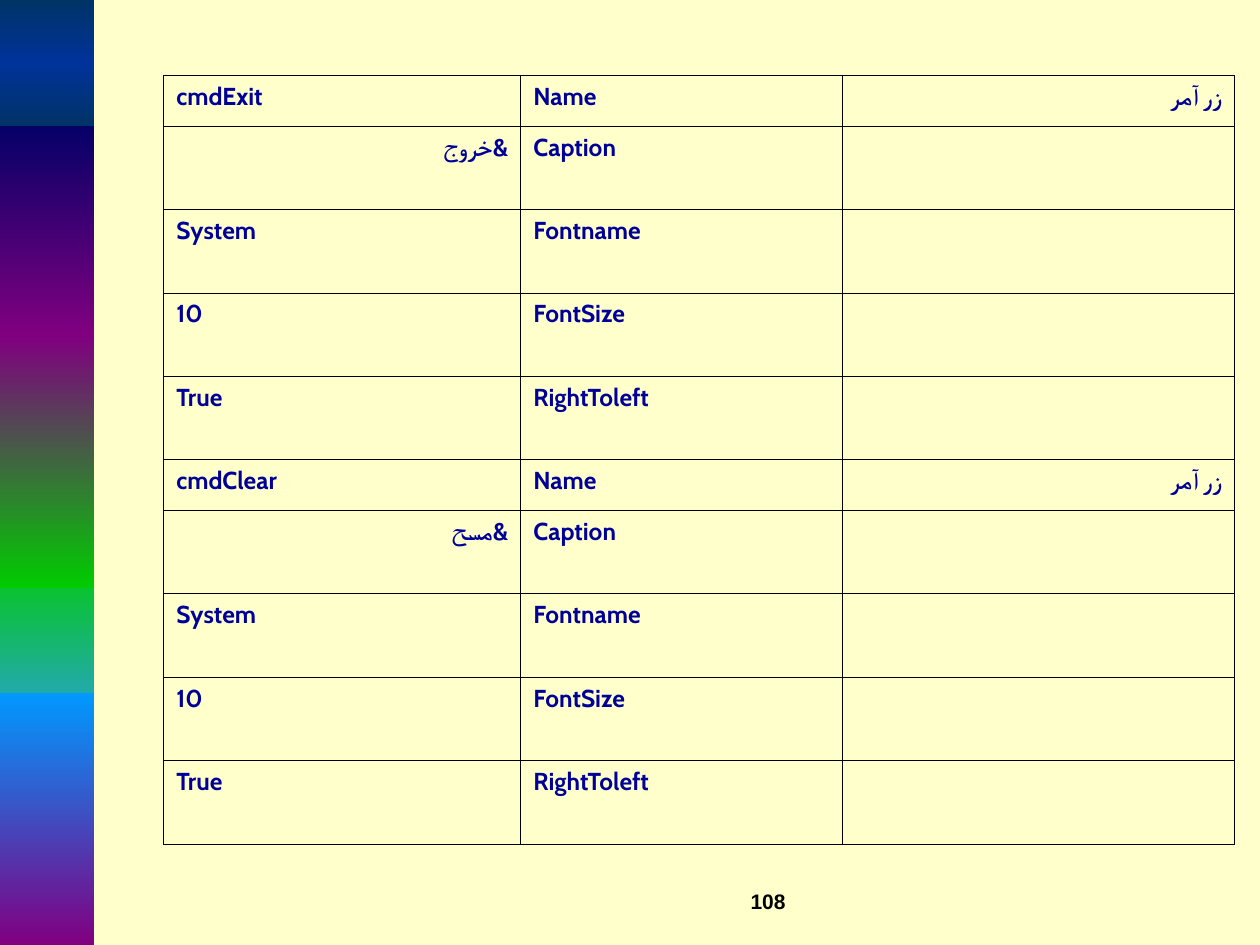
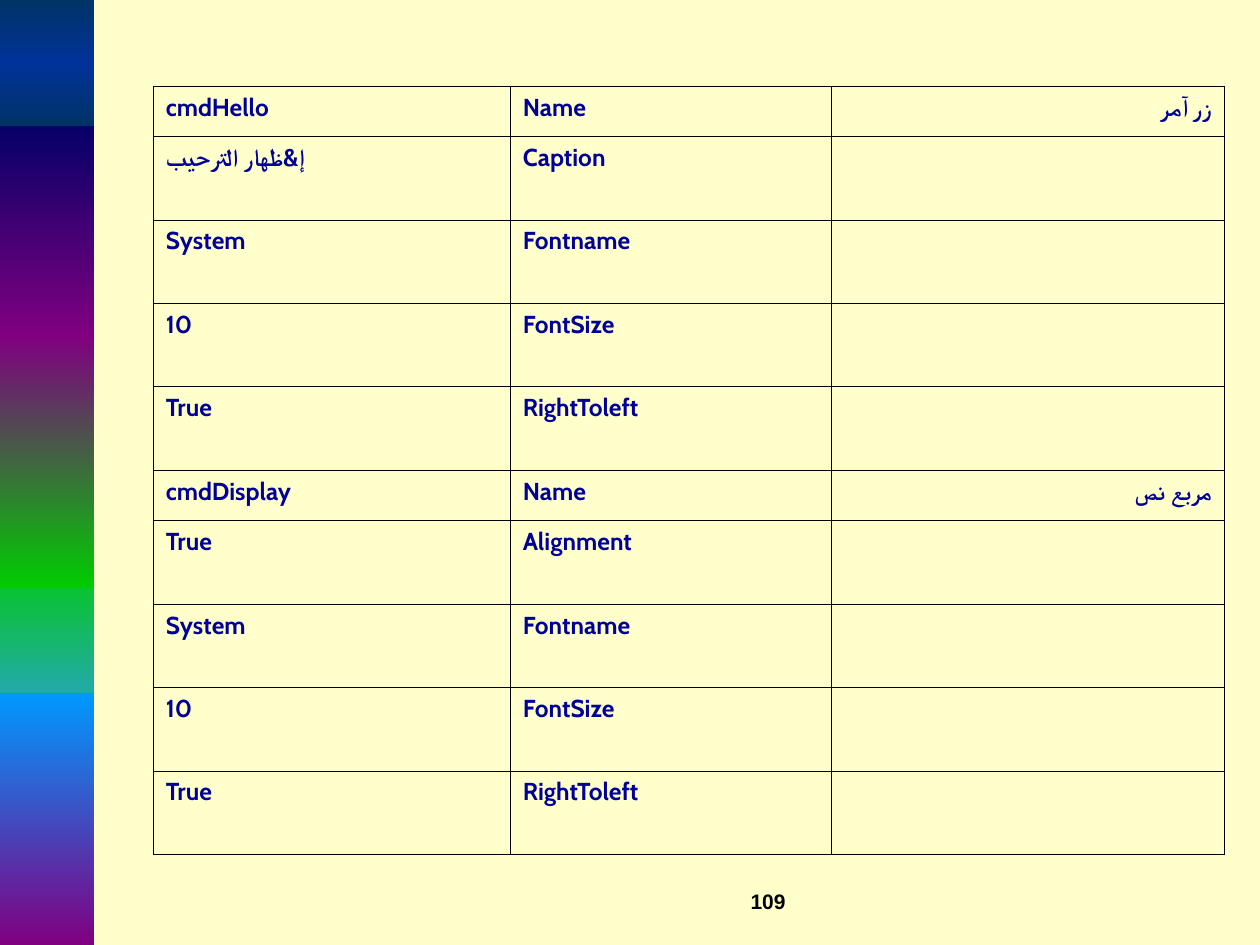
from dataclasses import dataclass

from lxml.etree import SubElement
from pptx import Presentation
from pptx.dml.color import RGBColor
from pptx.enum.shapes import MSO_SHAPE as Shape
from pptx.enum.text import PP_ALIGN as Align
from pptx.oxml.ns import qn
from pptx.util import Emu, Inches, Pt

# Slide grid: 120 columns by 90 rows of square units
UNIT = Inches(1) // 12
COLUMNS, ROWS = 120, 90


@dataclass(frozen=True)
class Theme:
    paper: str = "FFFFCC"
    ink: str = "000099"
    black: str = "000000"
    table_font: str = "Cabin"
    number_font: str = "Arial"
    table_size: float = 14
    number_size: float = 12
    border: float = 0.45


@dataclass(frozen=True)
class Box:
    left: float
    top: float
    width: float
    height: float

    def emu(self):
        return [grid(v) for v in (self.left, self.top, self.width, self.height)]


@dataclass(frozen=True)
class Control:
    kind: str
    name: str
    feature: str  # property listed right after the name
    setting: str
    setting_rtl: bool = False

    def rows(self):
        return [("Name", self.name), (self.feature, self.setting), *COMMON]


THEME = Theme()
COMMON = [("Fontname", "System"), ("FontSize", "10"), ("RightToleft", "True")]
SIDEBAR = Box(0, 0, 9, ROWS)
NUMBER_BOX = Box(51, 84, 25, 6)

# Sidebar bands from back to front: top row, height, colours downwards
BANDS = [
    (52, 21, ["00CC00", "3399FF"]),
    (11, 21, ["000066", "800080"]),
    (66, 24, ["0099FF", "800080"]),
    (32, 24, ["800080", "00CC00"]),
    (0, 12, ["003366", "003399", "003366"]),
]

COLUMN_SHARES = (1 / 3, 0.3, 11 / 30)
NAME_ROW = 4.8

# Number, table box, hanging indent in units, controls
PAGES = [
    (108, Box(15.6, 7.2, 102, 73.2), 0, [
        Control("زر آمر", "cmdExit", "Caption", "&خروج", True),
        Control("زر آمر", "cmdClear", "Caption", "&مسح", True),
    ]),
    (109, Box(14.6, 8.2, 102, 73.2), 4.5, [
        Control("زر آمر", "cmdHello", "Caption", "إ&ظهار الترحيب"),
        Control("مربع نص", "cmdDisplay", "Alignment", "True"),
    ]),
]


def grid(units):
    return Emu(round(units * UNIT))


def add_span(para, text, font, size, colour):
    span = para.add_run()
    span.text = text
    span.font.name, span.font.size, span.font.bold = font, Pt(size), True
    span.font.color.rgb = RGBColor.from_string(colour)
    return span


def paint_gradient(shape, colours):
    shape.fill.gradient()
    shape.fill.gradient_angle = 270  # top to bottom
    stops = shape.fill._xPr.find(".//" + qn("a:gsLst"))
    stops[:] = []
    for index, colour in enumerate(colours):
        position = round(100000 * index / (len(colours) - 1))
        stop = SubElement(stops, qn("a:gs"), pos=str(position))
        SubElement(stop, qn("a:srgbClr"), val=colour)


def draw_sidebar(page, box):
    for top, height, colours in BANDS:
        area = Box(box.left, box.top + top, box.width, height)
        band = page.shapes.add_shape(Shape.RECTANGLE, *area.emu())
        band.shadow.inherit = False
        band.line.fill.background()
        paint_gradient(band, colours)


def draw_page_number(page, box, number):
    frame = page.shapes.add_textbox(*box.emu()).text_frame
    frame.word_wrap = True
    para = frame.paragraphs[0]
    para.alignment = Align.RIGHT
    add_span(para, str(number), THEME.number_font, THEME.number_size, THEME.black)


def style_cell(cell):
    properties = cell._tc.get_or_add_tcPr()
    for side in ("a:lnL", "a:lnR", "a:lnT", "a:lnB"):
        line = SubElement(properties, qn(side), w=str(Pt(THEME.border)))
        fill = SubElement(line, qn("a:solidFill"))
        SubElement(fill, qn("a:srgbClr"), val=THEME.black)
    cell.fill.background()


def write_cell(cell, text, indent, rtl=False):
    para = cell.text_frame.paragraphs[0]
    para.alignment = Align.RIGHT if rtl else Align.JUSTIFY
    properties = para._p.get_or_add_pPr()
    if rtl:
        properties.set("rtl", "1")
    if indent:
        properties.set("marL", str(grid(indent)))
        properties.set("indent", str(grid(-indent)))
    span = add_span(para, text, THEME.table_font, THEME.table_size, THEME.ink)
    SubElement(span._r.get_or_add_rPr(), qn("a:cs"), typeface=THEME.table_font)


def draw_control_table(page, box, indent, controls):
    block = len(controls[0].rows())
    count = block * len(controls)
    table = page.shapes.add_table(count, len(COLUMN_SHARES), *box.emu()).table
    table.first_row = table.horz_banding = False
    for column, share in zip(table.columns, COLUMN_SHARES):
        column.width = grid(box.width * share)

    # Name rows are low, the others share the remaining height
    tall_row = (box.height - NAME_ROW * len(controls)) / (count - len(controls))
    for index, row in enumerate(table.rows):
        row.height = grid(tall_row if index % block else NAME_ROW)
    for cell in table.iter_cells():
        style_cell(cell)

    # One block of rows for each control
    for number, control in enumerate(controls):
        first = number * block
        write_cell(table.cell(first, 2), control.kind, indent, rtl=True)
        for offset, (label, value) in enumerate(control.rows()):
            rtl = control.setting_rtl and offset == 1
            write_cell(table.cell(first + offset, 0), value, indent, rtl)
            write_cell(table.cell(first + offset, 1), label, indent)


def main():
    deck = Presentation()
    deck.slide_width, deck.slide_height = grid(COLUMNS), grid(ROWS)
    backdrop = deck.slide_master.background.fill
    backdrop.solid()
    backdrop.fore_color.rgb = RGBColor.from_string(THEME.paper)
    for number, table_box, indent, controls in PAGES:
        page = deck.slides.add_slide(deck.slide_layouts[6])
        draw_sidebar(page, SIDEBAR)
        draw_control_table(page, table_box, indent, controls)
        draw_page_number(page, NUMBER_BOX, number)
    deck.save("out.pptx")


if __name__ == "__main__":
    main()
